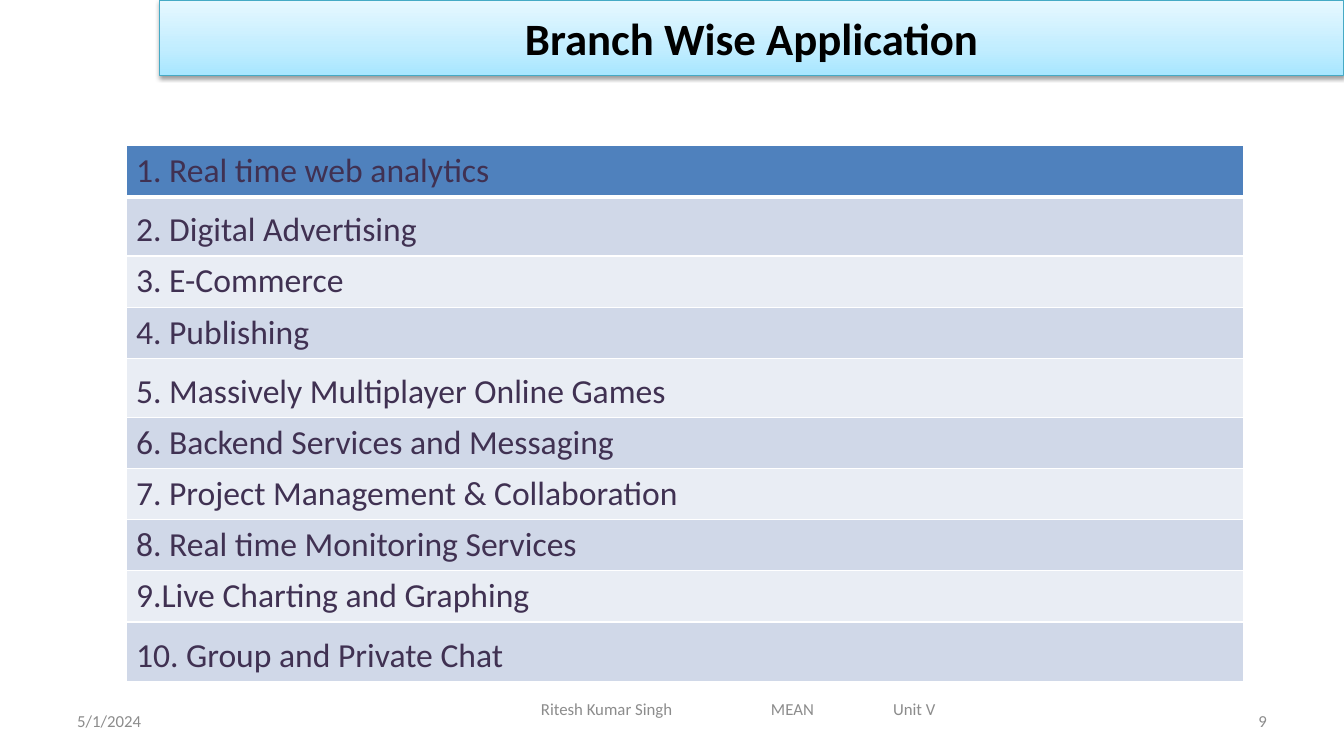
from lxml.etree import SubElement
from pptx import Presentation
from pptx.dml.color import RGBColor
from pptx.enum.text import MSO_ANCHOR, MSO_AUTO_SIZE, PP_ALIGN
from pptx.oxml import parse_xml
from pptx.oxml.ns import nsdecls, qn
from pptx.util import Pt

BLACK = RGBColor(0x00, 0x00, 0x00)
WHITE = RGBColor(0xFF, 0xFF, 0xFF)
GREY = RGBColor(0x8C, 0x8C, 0x8C)
TEAL = RGBColor(0x46, 0xAA, 0xC5)
PURPLE = RGBColor(0x40, 0x31, 0x52)
HEADER_BLUE = RGBColor(0x4F, 0x81, 0xBD)
BAND_DARK = RGBColor(0xD0, 0xD8, 0xE8)
BAND_LIGHT = RGBColor(0xE9, 0xED, 0xF4)
TITLE_STOPS = [
    (0, RGBColor(0xA7, 0xE6, 0xFF)),
    (35, RGBColor(0xC1, 0xED, 0xFF)),
    (100, RGBColor(0xE7, 0xF8, 0xFF)),
]


def add_span(para, text, size, color, bold=False):
    span = para.add_run()
    span.text = text
    span.font.name = "Calibri"
    span.font.size = Pt(size)
    span.font.bold = bold
    span.font.color.rgb = color


def add_footer_box(left, top, width, text, align):
    box = page.shapes.add_textbox(Pt(left), Pt(top), Pt(width), Pt(28.8))
    box.text_frame.word_wrap = True
    box.text_frame.vertical_anchor = MSO_ANCHOR.MIDDLE
    para = box.text_frame.paragraphs[0]
    para.alignment = align
    add_span(para, text, 12, GREY)
    return box


deck = Presentation()
deck.slide_width, deck.slide_height = Pt(960), Pt(540)
page = deck.slides.add_slide(deck.slide_layouts[5])

# Title bar with gradient and shadow
title = page.shapes.title
title.left, title.top, title.width, title.height = Pt(114), Pt(0), Pt(846), Pt(54)
stops = "".join(
    f'<a:gs pos="{position * 1000}"><a:srgbClr val="{color}"/></a:gs>'
    for position, color in TITLE_STOPS
)
properties = title.element.spPr
properties.append(parse_xml(
    f'<a:gradFill {nsdecls("a")} rotWithShape="1"><a:gsLst>{stops}</a:gsLst>'
    '<a:lin ang="16200000" scaled="0"/></a:gradFill>'
))
title.line.color.rgb = TEAL
title.line.width = Pt(0.75)
properties.append(parse_xml(
    f'<a:effectLst {nsdecls("a")}>'
    f'<a:outerShdw blurRad="{Pt(3.1)}" dist="{Pt(1.6)}" dir="5400000" rotWithShape="0">'
    f'<a:srgbClr val="{BLACK}"><a:alpha val="38000"/></a:srgbClr>'
    '</a:outerShdw></a:effectLst>'
))
title.text_frame.auto_size = MSO_AUTO_SIZE.NONE
title.text_frame.vertical_anchor = MSO_ANCHOR.MIDDLE
title_para = title.text_frame.paragraphs[0]
title_para.alignment = PP_ALIGN.CENTER
add_span(title_para, "Branch Wise Application", 32, BLACK, bold=True)

# Table of applications
applications = [
    "1. Real time web analytics",
    "2. Digital Advertising",
    "3. E-Commerce",
    "4. Publishing",
    "5. Massively Multiplayer Online Games",
    "6. Backend Services and Messaging",
    "7. Project Management & Collaboration",
    "8. Real time Monitoring Services",
    "9.Live Charting and Graphing",
    "10. Group and Private Chat",
]
loose_rows = {1, 4, 9}
frame = page.shapes.add_table(len(applications), 1, Pt(90), Pt(104), Pt(798), Pt(370))
for index, application in enumerate(applications):
    frame.table.rows[index].height = Pt(29.6)
    cell = frame.table.cell(index, 0)
    para = cell.text_frame.paragraphs[0]
    if index in loose_rows:
        para.line_spacing = 1.2
    add_span(para, application, 24, PURPLE)

    # White borders, thicker between the header and the bands
    cell_properties = cell._tc.get_or_add_tcPr()
    for side in ("lnL", "lnR", "lnT", "lnB"):
        thick = (index, side) in {(0, "lnB"), (1, "lnT")}
        border = SubElement(cell_properties, qn(f"a:{side}"), w=str(Pt(3 if thick else 1)))
        SubElement(SubElement(border, qn("a:solidFill")), qn("a:srgbClr"), val=str(WHITE))
    cell.fill.solid()
    band = BAND_DARK if index % 2 else BAND_LIGHT
    cell.fill.fore_color.rgb = band if index else HEADER_BLUE
frame.height = Pt(370)

# Footer: date, author with course and unit, page number
add_footer_box(48, 500.4, 224, "5/1/2024", PP_ALIGN.LEFT)
course = add_footer_box(342, 492, 372, "Ritesh Kumar Singh\tMEAN\tUnit V", PP_ALIGN.LEFT)
course.text_frame.margin_left = Pt(44.4)
course_properties = course.text_frame.paragraphs[0]._p.get_or_add_pPr()
tabs = SubElement(course_properties, qn("a:tabLst"))
for stop in (164.3, 251.5):
    SubElement(tabs, qn("a:tab"), pos=str(Pt(stop)), algn="l")
add_footer_box(688, 500.4, 224, "9", PP_ALIGN.RIGHT)

deck.save("out.pptx")
